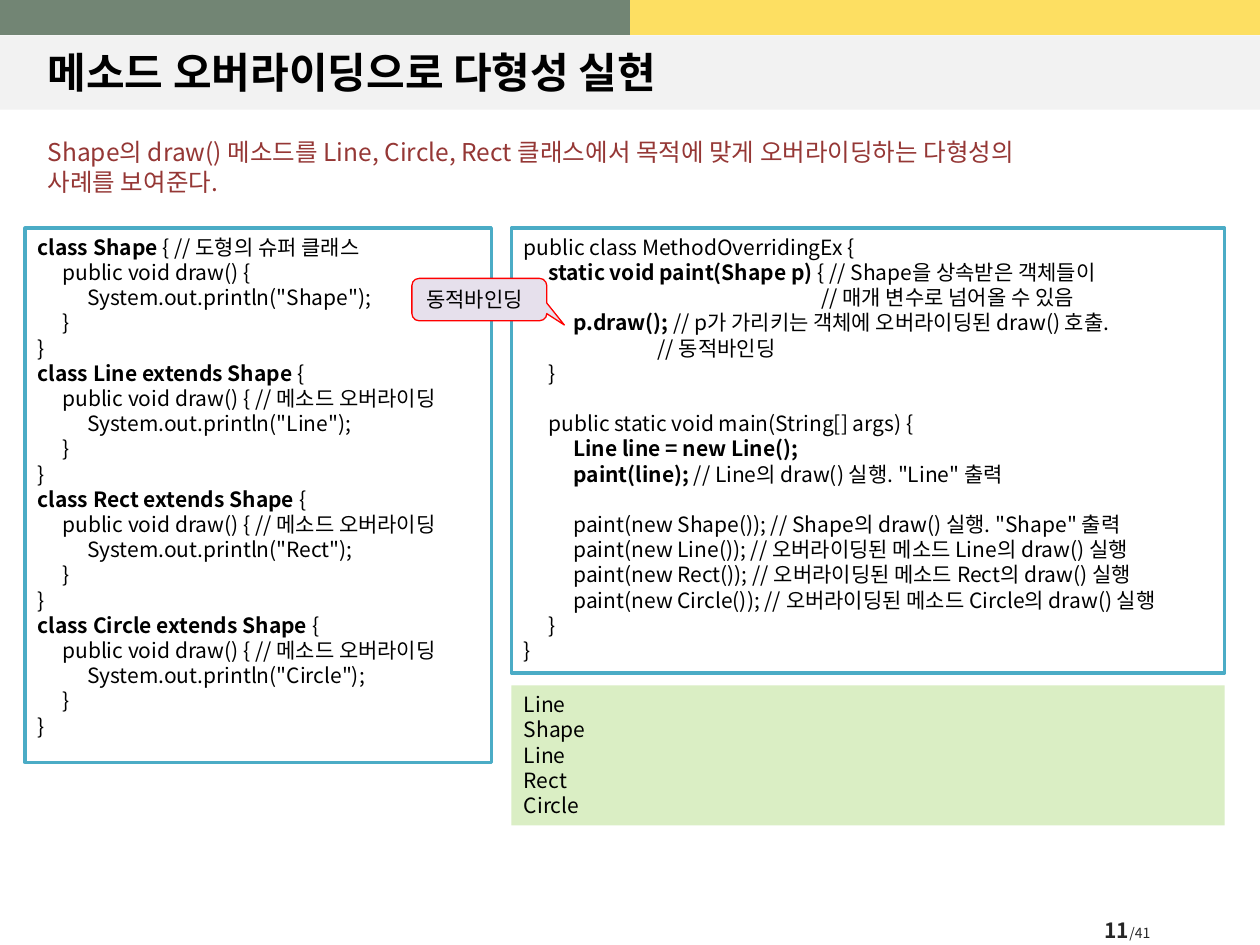
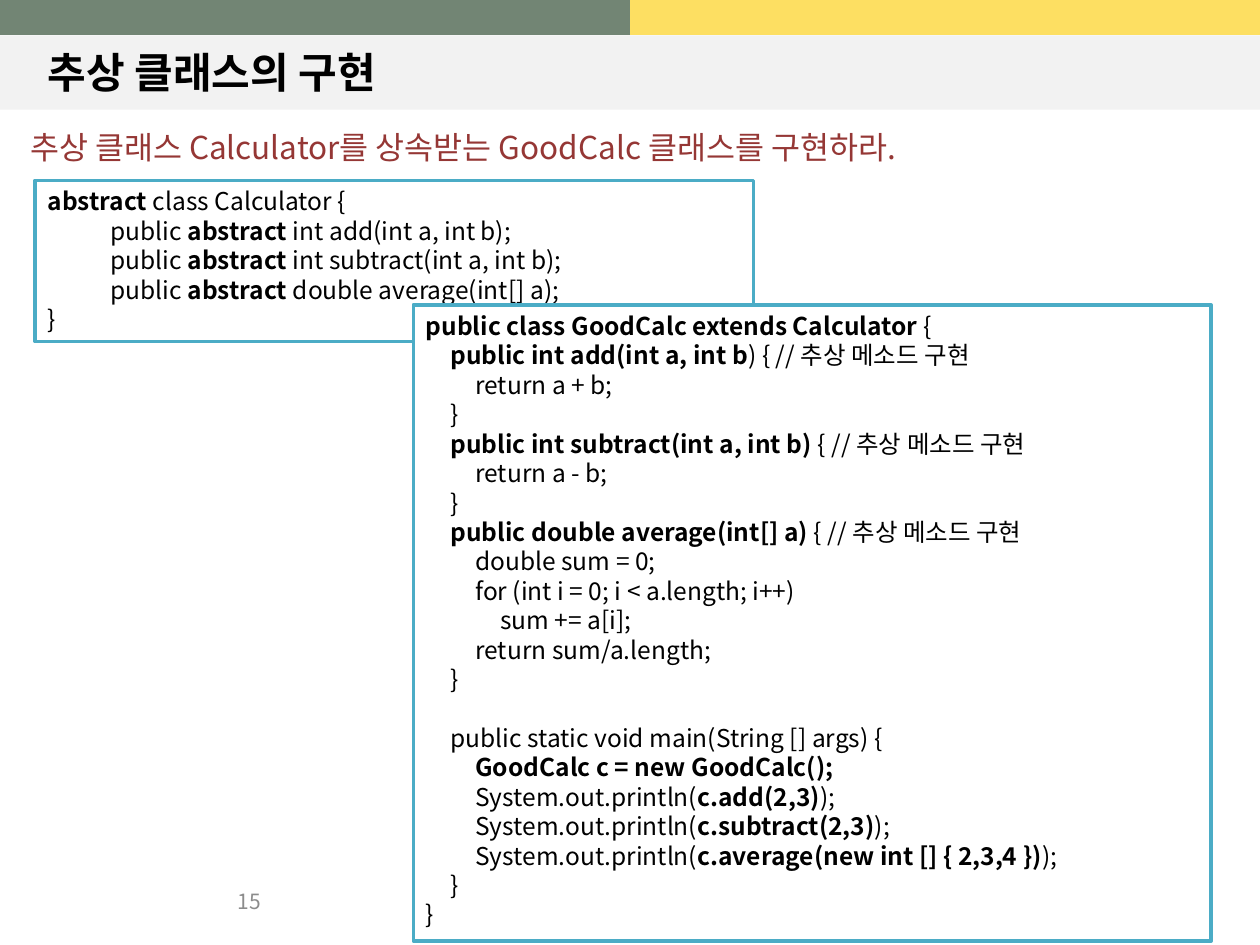
import pptx
import pptx.dml.color
import pptx.enum.shapes
import pptx.enum.text
import pptx.oxml.ns
import pptx.util
import lxml.etree

Pt = pptx.util.Pt
RGBColor = pptx.dml.color.RGBColor
SHAPES = pptx.enum.shapes.MSO_SHAPE
ALIGN = pptx.enum.text.PP_ALIGN
ANCHOR = pptx.enum.text.MSO_ANCHOR

GREEN = RGBColor(0x72, 0x85, 0x74)
YELLOW = RGBColor(0xFD, 0xDF, 0x62)
BAND_GREY = RGBColor(0xF2, 0xF2, 0xF2)
WHITE = RGBColor(0xFF, 0xFF, 0xFF)
BLACK = RGBColor(0, 0, 0)
TEAL = RGBColor(0x4B, 0xAC, 0xC6)
LIME = RGBColor(0xDA, 0xEE, 0xC4)
LILAC = RGBColor(0xE6, 0xE0, 0xEC)
RED = RGBColor(0xFF, 0, 0)
BROWN = RGBColor(0x95, 0x37, 0x35)
DARK_GREY = RGBColor(0x26, 0x26, 0x26)
MID_GREY = RGBColor(0x8C, 0x8C, 0x8C)

TITLE_FONT = "Arial"
BODY_FONT = "Noto Sans CJK KR"
SLIDE_WIDTH, SLIDE_HEIGHT = 720, 540
STRIP_HEIGHT = 20.16
TAB_STEP = 14.17
LINE_FACTOR = 1.2
NO_TABLE_STYLE = "{2D5ABB26-0587-4C30-8999-92F81FD0307C}"


def drawing_class(name, header, comment=""):
    return [
        (0, f"**class {name}{header} **{{{' // 도형의 슈퍼 클래스' if not header else ''}"),
        (1, f"public void draw() {{{comment}"),
        (2, f'System.out.println("{name}");'),
        (1, "}"),
        (0, "}"),
    ]


SHAPE_CLASSES = drawing_class("Shape", "")
for subclass in ("Line", "Rect", "Circle"):
    SHAPE_CLASSES += drawing_class(subclass, " extends Shape", " // 메소드 오버라이딩")

OVERRIDING_MAIN = [
    (0, "public class MethodOverridingEx {"),
    (1, "**static void paint(Shape p) **{ // Shape을 상속받은 객체들이"),
    (12, "// 매개 변수로 넘어올 수 있음"),
    (2, "**p.draw(); **// p가 가리키는 객체에 오버라이딩된 draw() 호출."),
    (5.4, "// 동적바인딩"),
    (1, "}"),
    (0, ""),
    (1, "public static void main(String[] args) {"),
    (2, "**Line line = new Line();**"),
    (2, '**paint(line); **// Line의 draw() 실행. "Line" 출력'),
    (0, ""),
    (2, 'paint(new Shape()); // Shape의 draw() 실행. "Shape" 출력'),
    (2, "paint(new Line()); // 오버라이딩된 메소드 Line의 draw() 실행"),
    (2, "paint(new Rect()); // 오버라이딩된 메소드 Rect의 draw() 실행"),
    (2, "paint(new Circle()); // 오버라이딩된 메소드 Circle의 draw() 실행"),
    (1, "}"),
    (0, "}"),
]

PROGRAM_OUTPUT = [(0, word) for word in ("Line", "Shape", "Line", "Rect", "Circle")]

CALCULATOR = [
    (0, "**abstract **class Calculator {"),
    (1, "public **abstract** int add(int a, int b);"),
    (1, "public **abstract **int subtract(int a, int b);"),
    (1, "public **abstract** double average(int[] a);"),
    (0, "}"),
]

GOOD_CALC = [
    (0, "**public class GoodCalc extends Calculator **{"),
    (1, "**public int add(int a, int b**) { // 추상 메소드 구현"),
    (2, "return a + b;"),
    (1, "}"),
    (1, "**public int subtract(int a, int b) **{ // 추상 메소드 구현"),
    (2, "return a - b;"),
    (1, "}"),
    (1, "**public double average(int[] a) **{ // 추상 메소드 구현"),
    (2, "double sum = 0;"),
    (2, "for (int i = 0; i < a.length; i++)"),
    (3, "sum += a[i];"),
    (2, "return sum/a.length;"),
    (1, "}"),
    (0, ""),
    (1, "public static void main(String [] args) {"),
    (2, "**GoodCalc c = new GoodCalc();**"),
    (2, "System.out.println(**c.add(2,3)**);"),
    (2, "System.out.println(**c.subtract(2,3)**);"),
    (2, "System.out.println(**c.average(new int [] { 2,3,4 })**);"),
    (1, "}"),
    (0, "}"),
]

SLIDES = [
    {
        "title": "메소드 오버라이딩으로 다형성 실현",
        "lead": ("Shape의 draw() 메소드를 Line, Circle, Rect 클래스에서 목적에 맞게 "
                 "오버라이딩하는 다형성의 사례를 보여준다.", 14, (20.16, 74.88, 594.72, 41)),
        "boxes": [
            {"lines": SHAPE_CLASSES, "place": (14.4, 130.4, 266.4, 305.3)},
            {"lines": OVERRIDING_MAIN, "place": (292.3, 130.4, 407.5, 254.2)},
            {"lines": PROGRAM_OUTPUT, "place": (292.3, 391.7, 407.5, 79.9),
             "fill": LIME, "line": None},
            {"lines": [(0, "동적바인딩")], "place": (235.4, 159.1, 77.1, 24.2),
             "fill": LILAC, "line": RED, "line_width": 0.75, "wrap": False,
             "kind": SHAPES.ROUNDED_RECTANGULAR_CALLOUT,
             "adjustments": (0.63, 0.6, 0.17)},
        ],
        "footer": ("11", "/41"),
    },
    {
        "title": "추상 클래스의 구현",
        "lead": ("추상 클래스 Calculator를 상속받는 GoodCalc 클래스를 구현하라.",
                 18, (10.08, 69.84, 589.7, 28.8)),
        "boxes": [
            {"lines": CALCULATOR, "place": (20.16, 103, 410.4, 92.2),
             "size": 14, "step": 36},
            {"lines": GOOD_CALC, "place": (236.2, 174.2, 455.8, 363.6), "size": 14},
        ],
        "number": "15",
    },
]


def format_run(run, size, color=BLACK, bold=False, font=BODY_FONT):
    run.font.name = font
    run.font.size = Pt(size)
    run.font.bold = bold
    run.font.color.rgb = color
    east_asian = lxml.etree.SubElement(run._r.get_or_add_rPr(), pptx.oxml.ns.qn("a:ea"))
    east_asian.set("typeface", BODY_FONT)


def add_runs(paragraph, marked_text, size, color=BLACK):
    for index, part in enumerate(marked_text.split("**")):
        if part:
            run = paragraph.add_run()
            run.text = part
            format_run(run, size, color, bold=index % 2 == 1)


def fill_lines(text_frame, lines, size, color=BLACK, step=TAB_STEP):
    line_height = size * LINE_FACTOR
    paragraph = text_frame.paragraphs[0]
    gap = 0
    for index, (depth, text) in enumerate(lines):
        if not text:
            gap += line_height
            continue
        if index:
            paragraph = text_frame.add_paragraph()
        paragraph.alignment = ALIGN.LEFT
        paragraph.line_spacing = Pt(line_height)
        paragraph.space_before = Pt(gap)
        properties = paragraph._p.get_or_add_pPr()
        properties.set("marL", str(int(Pt(depth * step))))
        properties.set("indent", "0")
        add_runs(paragraph, text, size, color)
        gap = 0


def add_text(slide, place, anchor=ANCHOR.TOP, wrap=True):
    text_frame = slide.shapes.add_textbox(*map(Pt, place)).text_frame
    text_frame.word_wrap = wrap
    text_frame.vertical_anchor = anchor
    return text_frame


def add_box(slide, place, lines=(), size=12, fill=WHITE, line=TEAL, line_width=2,
            kind=SHAPES.RECTANGLE, adjustments=(), step=TAB_STEP, wrap=True):
    shape = slide.shapes.add_shape(kind, *map(Pt, place))
    shape.shadow.inherit = False
    for index, value in enumerate(adjustments):
        shape.adjustments[index] = value
    shape.fill.solid()
    shape.fill.fore_color.rgb = fill
    if line is None:
        shape.line.fill.background()
    else:
        shape.line.color.rgb = line
        shape.line.width = Pt(line_width)
    shape.text_frame.word_wrap = wrap
    shape.text_frame.vertical_anchor = ANCHOR.TOP
    fill_lines(shape.text_frame, lines, size, step=step)


def add_strip(slide):
    frame = slide.shapes.add_table(1, 2, 0, 0, Pt(SLIDE_WIDTH), Pt(STRIP_HEIGHT))
    table = frame.table
    table.first_row = table.horz_banding = False
    table._tbl.find(".//" + pptx.oxml.ns.qn("a:tableStyleId")).text = NO_TABLE_STYLE
    for cell, color in zip(table.rows[0].cells, (GREEN, YELLOW)):
        cell.fill.solid()
        cell.fill.fore_color.rgb = color
        cell.margin_top = cell.margin_bottom = 0
        end = lxml.etree.SubElement(cell.text_frame.paragraphs[0]._p,
                                    pptx.oxml.ns.qn("a:endParaRPr"))
        end.set("sz", "800")


def add_header(slide, title):
    add_box(slide, (0, STRIP_HEIGHT, SLIDE_WIDTH, 42.5), fill=BAND_GREY, line=None)
    add_strip(slide)
    text_frame = add_text(slide, (20.16, 20.9, 680.4, 40.3), ANCHOR.MIDDLE)
    text_frame.text = title
    format_run(text_frame.paragraphs[0].runs[0], 24, bold=True, font=TITLE_FONT)


def add_footer(slide, number, total):
    text_frame = add_text(slide, (609.8, 522, 69.1, 18.7), ANCHOR.MIDDLE, wrap=False)
    text_frame.margin_left = text_frame.margin_right = 0
    paragraph = text_frame.paragraphs[0]
    paragraph.alignment = ALIGN.CENTER
    add_runs(paragraph, f"**{number}**", 12, DARK_GREY)
    add_runs(paragraph, total, 8, DARK_GREY)


def add_number(slide, number):
    paragraph = add_text(slide, (0, 500.4, 156.2, 28.8), ANCHOR.MIDDLE).paragraphs[0]
    paragraph.alignment = ALIGN.RIGHT
    add_runs(paragraph, number, 12, MID_GREY)


def build_slide(presentation, content):
    slide = presentation.slides.add_slide(presentation.slide_layouts[6])
    add_header(slide, content["title"])
    if "footer" in content:
        add_footer(slide, *content["footer"])
    if "number" in content:
        add_number(slide, content["number"])
    text, size, place = content["lead"]
    fill_lines(add_text(slide, place), [(0, text)], size, BROWN)
    for box in content["boxes"]:
        add_box(slide, **box)


def main():
    presentation = pptx.Presentation()
    presentation.slide_width = Pt(SLIDE_WIDTH)
    presentation.slide_height = Pt(SLIDE_HEIGHT)
    for content in SLIDES:
        build_slide(presentation, content)
    presentation.save("out.pptx")


if __name__ == "__main__":
    main()
